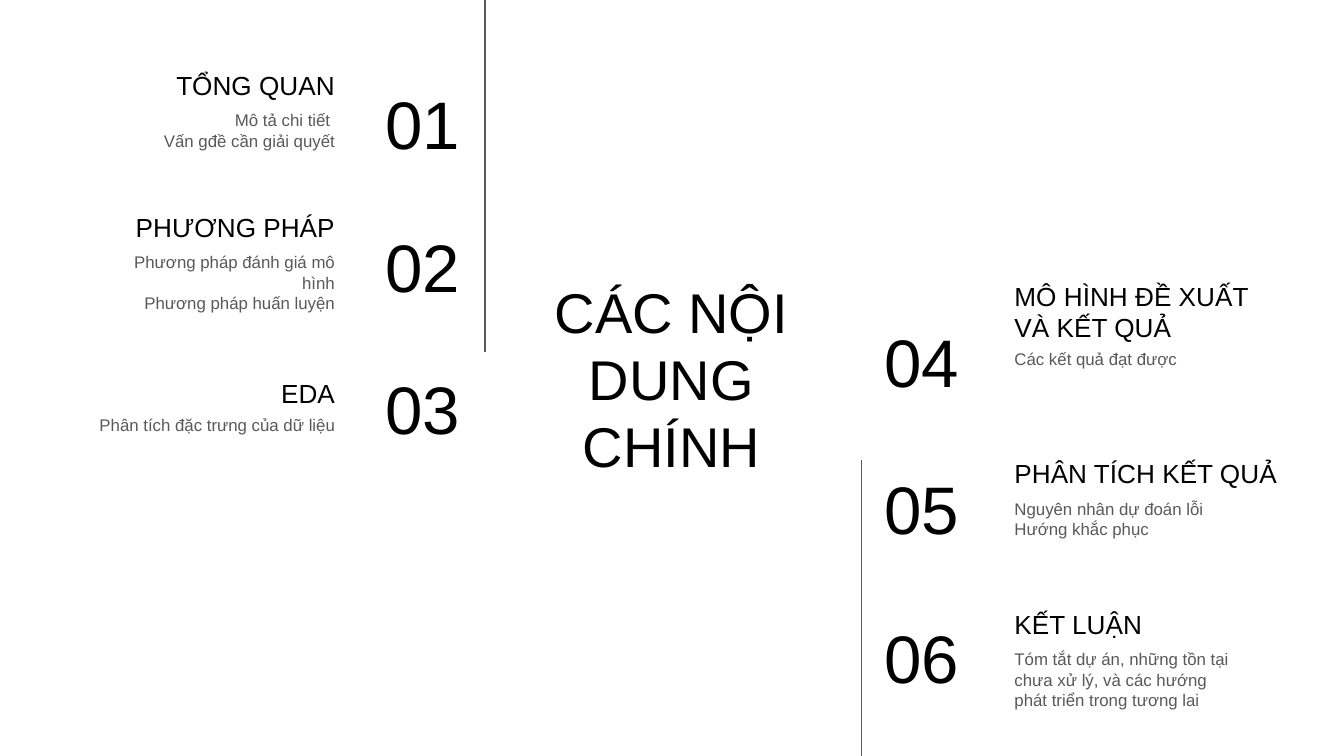
from pptx import Presentation
from pptx.dml.color import RGBColor
from pptx.enum.shapes import MSO_CONNECTOR
from pptx.enum.text import MSO_ANCHOR, PP_ALIGN
from pptx.oxml.ns import qn
from pptx.util import Inches, Pt
from lxml.etree import SubElement

COLORS = {"ink": "000000", "gray": "595959"}
CELL = 0.1  # inches per grid column and row
LEFT, MID, RIGHT = PP_ALIGN.LEFT, PP_ALIGN.CENTER, PP_ALIGN.RIGHT


def grid(*cells):
    return [Inches(c * CELL) for c in cells]


class Deck:
    font = "Arial"
    styles = {
        "title": (30, "ink", MSO_ANCHOR.MIDDLE),
        "number": (36, "ink", MSO_ANCHOR.MIDDLE),
        "head": (14, "ink", MSO_ANCHOR.BOTTOM),
        "body": (9, "gray", MSO_ANCHOR.TOP),
    }

    def __init__(self):
        self.file = Presentation()
        self.file.slide_width, self.file.slide_height = grid(100, 56.25)
        self.slide = self.file.slides.add_slide(self.file.slide_layouts[6])

    def text(self, style, lines, box, align):
        size, color, anchor = self.styles[style]
        frame = self.slide.shapes.add_textbox(*grid(*box)).text_frame
        pad = Inches(0.1)
        form = {"word_wrap": True, "vertical_anchor": anchor,
                "margin_left": pad, "margin_right": pad,
                "margin_top": pad, "margin_bottom": pad}
        for name, value in form.items():
            setattr(frame, name, value)
        frame.text = "\n".join(lines)
        for para in frame.paragraphs:
            para.alignment = align
            for run in para.runs:
                for name, value in {"name": self.font, "size": Pt(size)}.items():
                    setattr(run.font, name, value)
                run.font.color.rgb = RGBColor.from_string(COLORS[color])

    def rule(self, col, top, end):
        line = self.slide.shapes.add_connector(
            MSO_CONNECTOR.STRAIGHT, *grid(col, top, col, end))
        line.line.width = Pt(0.75)
        line.line.color.rgb = RGBColor.from_string(COLORS["gray"])
        SubElement(line._element.spPr, qn("a:effectLst"))

    def topic(self, side, number, head, body, top, row, width=18.3):
        """Place a number beside a heading and its lines, on the left or right."""
        tall = 6.3
        if side == LEFT:
            align, edge = RIGHT, 25.9
            num, wide = 23.1, 12.1
            heads, bodies = edge - 23.2, edge - width
        else:
            align, num, wide = LEFT, 64.8, 11.7
            heads = bodies = 74.5
        span = 23.2 if side == LEFT else 21.6
        self.text("number", [number], (num, row, wide, tall), align)
        self.text("head", [head], (heads, top, span, tall), align)
        self.text("body", body, (bodies, top + 5, width, tall), align)


def main():
    deck = Deck()
    deck.text("title", ["CÁC NỘI DUNG CHÍNH"], (37, 23, 25.9, 10.3), MID)
    deck.rule(36.1, 0, 26.2)
    deck.rule(64.1, 34.2, 56.25)
    topics = [
        (LEFT, "01", "TỔNG QUAN",
         ["Mô tả chi tiết ", "Vấn gđề cần giải quyết"], 2.2, 6),
        (LEFT, "02", "PHƯƠNG PHÁP",
         ["Phương pháp đánh giá mô hình", "Phương pháp huấn luyện"], 12.75, 16.6),
        (LEFT, "03", "EDA", ["Phân tích đặc trưng của dữ liệu"], 25.1, 27.2, 20.1),
        (RIGHT, "04", "MÔ HÌNH ĐỀ XUẤT VÀ KẾT QUẢ",
         ["Các kết quả đạt được"], 20.2, 23.7),
        (RIGHT, "05", "PHÂN TÍCH KẾT QUẢ",
         ["Nguyên nhân dự đoán lỗi", "Hướng khắc phục"], 31.1, 34.6),
        (RIGHT, "06", "KẾT LUẬN",
         ["Tóm tắt dự án, những tồn tại chưa xử lý, "
          "và các hướng phát triển trong tương lai"], 42.3, 45.7),
    ]
    for item in topics:
        deck.topic(*item)
    deck.file.save("out.pptx")


if __name__ == "__main__":
    main()
